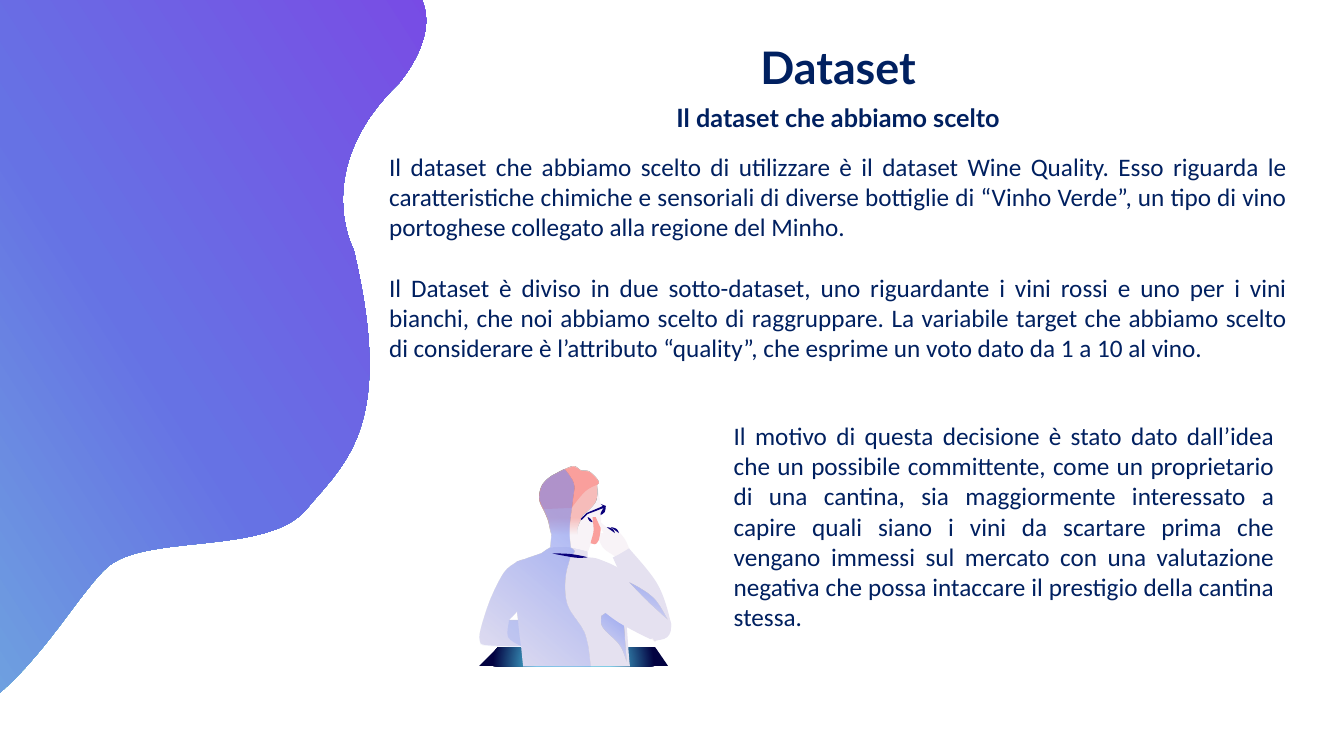
from math import cos, radians, sin

from lxml import etree
from pptx import Presentation
from pptx.dml.color import RGBColor
from pptx.enum.text import MSO_AUTO_SIZE, PP_ALIGN
from pptx.oxml.ns import qn
from pptx.util import Pt

CENTER, JUSTIFY = PP_ALIGN.CENTER, PP_ALIGN.JUSTIFY
FIT_SHAPE = MSO_AUTO_SIZE.SHAPE_TO_FIT_TEXT
BLANK_LAYOUT = 6
GRID = Pt(0.72)  # one step of the outline coordinates

NAVY, INK, LILAC, SKIN = "002060", "0A007B", "E5E1F0", "F8F3F7"
PINK, BLUSH, PERIWINKLE = "FA9F9C", "F7BDBB", "7289F2"

# A gradient is its stops (position, colour, opacity) and an angle;
# an angle of None makes it circular.
WAVE_FILL = ([(0, "7CEFD8", 100), (51, "6672E4", 100), (100, "882BE5", 100)], 90)
DESK_FILL = ([(0, "6FC9E0", 100), (39, "4BC3E2", 100), (85, "030341", 100)], None)
SHADE = ([(26, PERIWINKLE, 54), (100, PERIWINKLE, 0)], 130)
FACE_FILL = ([(75, BLUSH, 100), (100, BLUSH, 0)], 90)
SLEEVE_FILL = ([(0, "829CF3", 26), (100, "829CF3", 26)], 0)

# The wave: each curve is handle, handle, end, and starts where the last one ends.
WAVE = [
    ((414, -7), (374, -134), (125, -68)),
    ((-125, -3), (-86, 232), (-71, 316)),
    ((-56, 400), (-56, 421), (-100, 499)),
    ((-143, 576), (-241, 642), (-128, 708)),
    ((-15, 774), (68, 592), (109, 561)),
    ((150, 530), (268, 550), (305, 504)),
    ((343, 458), (392, 422), (351, 248)),
    ((351, 248), (308, 168), (395, 83)),
    ((395, 83), (441, 31), (414, -7)),
]

# The person: a run is a list of points that a smooth curve passes through.
# Corners fall between runs, and runs that do not meet are joined by a straight line.
BACK_OF_HEAD = [(539, 505), (535, 494), (539, 480), (550, 471), (560, 466)]
FORELOCK = [(569, 463), (576, 467), (584, 468), (590, 473), (594, 479), (592, 481)]
CROWN = BACK_OF_HEAD + FORELOCK
NAPE = [(547, 530), (544, 517), (539, 505)]
CHIN = [(596, 524), (594, 536), (590, 540), (586, 539)]
PROFILE = [(592, 481), (596, 502)] + CHIN
COLLAR_LINE = [(546, 543), (566, 543), (583, 547)]
SPINE = [(560, 466), (569, 480), (569, 490), (566, 513), (565, 530), (566, 543)]
SPINE_FOLD = [(566, 543), (570, 547), (566, 552)]
BACK_FOLD = [(566, 552), (561, 572), (563, 600), (580, 628), (586, 661)]
OUTER_ARM = [(517, 641), (482, 640), (476, 635), (478, 620), (488, 591), (500, 568), (513, 557)]
NECK, WAIST, ELBOW_GAP, CUFF_TOP = [(537, 549)], [(519, 661)], (505, 615), [(514, 615)]

HAND = [
    [(625, 546), (647, 577), (665, 618)], [(650, 637), (634, 618), (610, 552)],
    [(610, 552), (598, 543), (592, 529)], [(599, 529), (604, 537)],
    [(604, 537), (592, 516), (602, 523)], [(602, 523), (611, 525), (620, 535), (625, 546)],
]
CUFF = [
    [(624, 544), (652, 579), (665, 616), (662, 632), (649, 636)],
    [(649, 636), (628, 595), (608, 553)],
]
DESK = [[(663, 661)], [(475, 661)], [(494, 642)], [(650, 642)]]
TORSO = [
    WAIST, [(519, 661), (514, 615), (510, 575), (513, 557)], NECK, COLLAR_LINE,
    [(583, 553), (595, 555), (611, 566), (619, 587), (622, 624), (625, 661)],
]
LEFT_ARM = [
    OUTER_ARM, [(518, 555), (528, 563), (534, 579)], [(534, 579), (522, 597), ELBOW_GAP],
    [ELBOW_GAP, (550, 617), (576, 625)], [(571, 638)],
]
WAIST_SHADE = [
    [(621, 656), (615, 641), (604, 629), (597, 620), (597, 611)],
    [(597, 611), (608, 604), (617, 607)],
]
ELBOW_SHADE = [[(624, 578), (648, 593), (662, 614)], [(662, 614), (643, 597), (624, 578)]]
RIGHT_ARM = [
    [(571, 571), (588, 556), (611, 562), (635, 583), (659, 608), (666, 619), (661, 630), (645, 634)],
    [(645, 634), (610, 615), (583, 592), (571, 571)],
]
HEAD = [CROWN, PROFILE, [(583, 548)], COLLAR_LINE[::-1], NAPE]
FACE = [CROWN, [(592, 481), (591, 497), (578, 511)], [(578, 511), (573, 523), (573, 530)], NAPE]
HAIR = [CROWN, [(592, 481), (580, 488), (567, 504)]]
EAR = [[(583, 513), (586, 515), (588, 518)], [(588, 518), (585, 517), (583, 513)]]
JAW = [[(588, 513)], [(591, 513)], CHIN, [(586, 539), (589, 526), (588, 513)]]
BACK_SHADE = [
    SPINE, SPINE_FOLD, BACK_FOLD, WAIST, OUTER_ARM, NECK, [(546, 543)], NAPE, BACK_OF_HEAD,
]
ARM_OPENING = [[ELBOW_GAP, (513, 606)], CUFF_TOP]
SLEEVE = [[ELBOW_GAP, (504, 632), (517, 641)], CUFF_TOP]
GLASSES = [
    [(601, 502), (600, 508), (596, 511)], [(596, 509), (599, 504)], [(583, 510)], [(577, 516)],
    [(576, 515)], [(582, 509)], [(596, 503)], [(598, 502)], [(596, 500)],
]
FINGER_LINES = [[[(x, 523), (x + 6, 525), (x + 8, 529)]] for x in (602, 606)]
COLLAR = [[(548, 549), (569, 550), (583, 553)], [(583, 553), (569, 553), (548, 549)]]

HEADING = dict(name="Lato", bold=True)
BODY = dict(name="Calibri", size=Pt(18))
INTRO = [
    "Il dataset che abbiamo scelto di utilizzare è il dataset Wine Quality. Esso riguarda le caratteristiche chimiche e sensoriali di diverse bottiglie di “Vinho Verde”, un tipo di vino portoghese collegato alla regione del Minho.",
    "Il Dataset è diviso in due sotto-dataset, uno riguardante i vini rossi e uno per i vini bianchi, che noi abbiamo scelto di raggruppare. La variabile target che abbiamo scelto di considerare è l’attributo “quality”, che esprime un voto dato da 1 a 10 al vino.",
]
REASON = [
    "Il motivo di questa decisione è stato dato dall’idea che un possibile committente, come un proprietario di una cantina, sia maggiormente interessato a capire quali siano i vini da scartare prima che vengano immessi sul mercato con una valutazione negativa che possa intaccare il prestigio della cantina stessa.",
]


def colour(value):
    return RGBColor.from_string(value)


def turn(x, y, degrees):
    """Rotate a point clockwise about the slide's top left corner."""
    c, s = cos(radians(degrees)), sin(radians(degrees))
    return x * c - y * s, x * s + y * c


def smooth(run):
    """Curves through the points; each tangent follows the two neighbours."""
    padded = [run[0], *run, run[-1]]
    for before, start, end, after in zip(padded, padded[1:], padded[2:], padded[3:]):
        leave = tuple(s + (e - b) / 6 for b, s, e in zip(before, start, end))
        arrive = tuple(e - (a - s) / 6 for s, e, a in zip(start, end, after))
        yield leave, arrive, end


def contour(runs):
    """Closed list of curves made of the runs and the straight lines between them."""
    curves = []
    for previous, run in zip([runs[-1], *runs], runs):
        if previous[-1] != run[0]:
            curves.extend(smooth([previous[-1], run[0]]))
        curves.extend(smooth(run))
    return curves


def bend(shape):
    """Join each three straight segments into one Bezier curve."""
    segments = list(shape._element.iter(qn("a:lnTo")))
    for first, second, third in zip(*[iter(segments)] * 3):
        first.tag = qn("a:cubicBezTo")
        for segment in (second, third):
            first.append(segment[0])
            segment.getparent().remove(segment)


def apply_gradient(shape, stops, angle):
    shape.fill.gradient()
    gradient = shape._element.spPr.find(qn("a:gradFill"))
    stop_list = gradient.find(qn("a:gsLst"))
    for stop in list(stop_list):
        stop_list.remove(stop)
    for position, value, opacity in stops:
        stop = etree.SubElement(stop_list, qn("a:gs"), pos=str(position * 1000))
        tint = etree.SubElement(stop, qn("a:srgbClr"), val=value)
        etree.SubElement(tint, qn("a:alpha"), val=str(opacity * 1000))
    if angle is not None:
        gradient.find(qn("a:lin")).set("ang", str(angle * 60000))
        return
    gradient.remove(gradient.find(qn("a:lin")))
    circle = etree.SubElement(gradient, qn("a:path"), path="circle")
    etree.SubElement(circle, qn("a:fillToRect"), l="50000", t="130000", r="50000", b="-30000")


class Page:
    def __init__(self, deck):
        self.shapes = deck.slides.add_slide(deck.slide_layouts[BLANK_LAYOUT]).shapes

    def outline(self, shapes, fill, *contours, rotation=0):
        builder = None
        for curves in contours:
            points = [turn(*point, -rotation) for curve in curves for point in curve]
            if builder:
                builder.move_to(*points[-1])
            else:
                builder = shapes.build_freeform(*points[-1], scale=GRID)
            builder.add_line_segments(points, close=True)
        shape = builder.convert_to_shape()
        bend(shape)
        x, y = turn(shape.left + shape.width / 2, shape.top + shape.height / 2, rotation)
        shape.left, shape.top = round(x - shape.width / 2), round(y - shape.height / 2)
        shape.rotation = rotation
        shape.shadow.inherit = False
        shape.line.fill.background()
        if isinstance(fill, str):
            shape.fill.solid()
            shape.fill.fore_color.rgb = colour(fill)
        else:
            apply_gradient(shape, *fill)

    def person(self):
        shapes = self.shapes.add_group_shape().shapes
        parts = [
            (SKIN, HAND), (LILAC, CUFF), (DESK_FILL, DESK), (LILAC, TORSO), (LILAC, LEFT_ARM),
            (SHADE, WAIST_SHADE), (LILAC, RIGHT_ARM), (SKIN, HEAD), (FACE_FILL, FACE),
            (PINK, HAIR), (INK, EAR), (PINK, JAW), (SHADE, BACK_SHADE, ARM_OPENING),
            (SLEEVE_FILL, SLEEVE), (INK, GLASSES), (INK, COLLAR),
            *((INK, line) for line in FINGER_LINES),
        ]
        for fill, *outlines in parts:
            self.outline(shapes, fill, *map(contour, outlines))
        self.outline(shapes, SHADE, contour(ELBOW_SHADE), rotation=339.4)

    def text(self, place, paragraphs, font, align, inset=(7.2, 3.6), gap=0):
        frame = self.shapes.add_textbox(*map(Pt, place)).text_frame
        across, down = map(Pt, inset)
        settings = dict(word_wrap=True, auto_size=FIT_SHAPE, margin_left=across,
                        margin_right=across, margin_top=down, margin_bottom=down)
        for key, value in settings.items():
            setattr(frame, key, value)
        for index, words in enumerate(paragraphs):
            para = frame.add_paragraph() if index else frame.paragraphs[0]
            para.alignment = align
            para.space_before = Pt(gap if index else 0)
            span = para.add_run()
            span.text = words
            span.font.color.rgb = colour(NAVY)
            for key, value in font.items():
                setattr(span.font, key, value)


def main():
    deck = Presentation()
    deck.slide_width, deck.slide_height = Pt(960), Pt(540)
    page = Page(deck)
    page.outline(page.shapes, WAVE_FILL, WAVE, rotation=237.4)
    page.person()
    left, width = 277.9, 641.5
    page.text((left, 28.1, width, 38.9), ["Dataset"], HEADING | dict(size=Pt(32)), CENTER, (0, 0))
    page.text((left, 107.8, width, 174.2), INTRO, BODY, JUSTIFY, (0, 0), gap=21.6)
    page.text((517, 296.6, 400.3, 138.2), REASON, BODY, JUSTIFY)
    page.text((left, 69.8, width, 28.8), ["Il dataset che abbiamo scelto"],
              HEADING | dict(size=Pt(18)), CENTER)
    deck.save("out.pptx")


if __name__ == "__main__":
    main()
